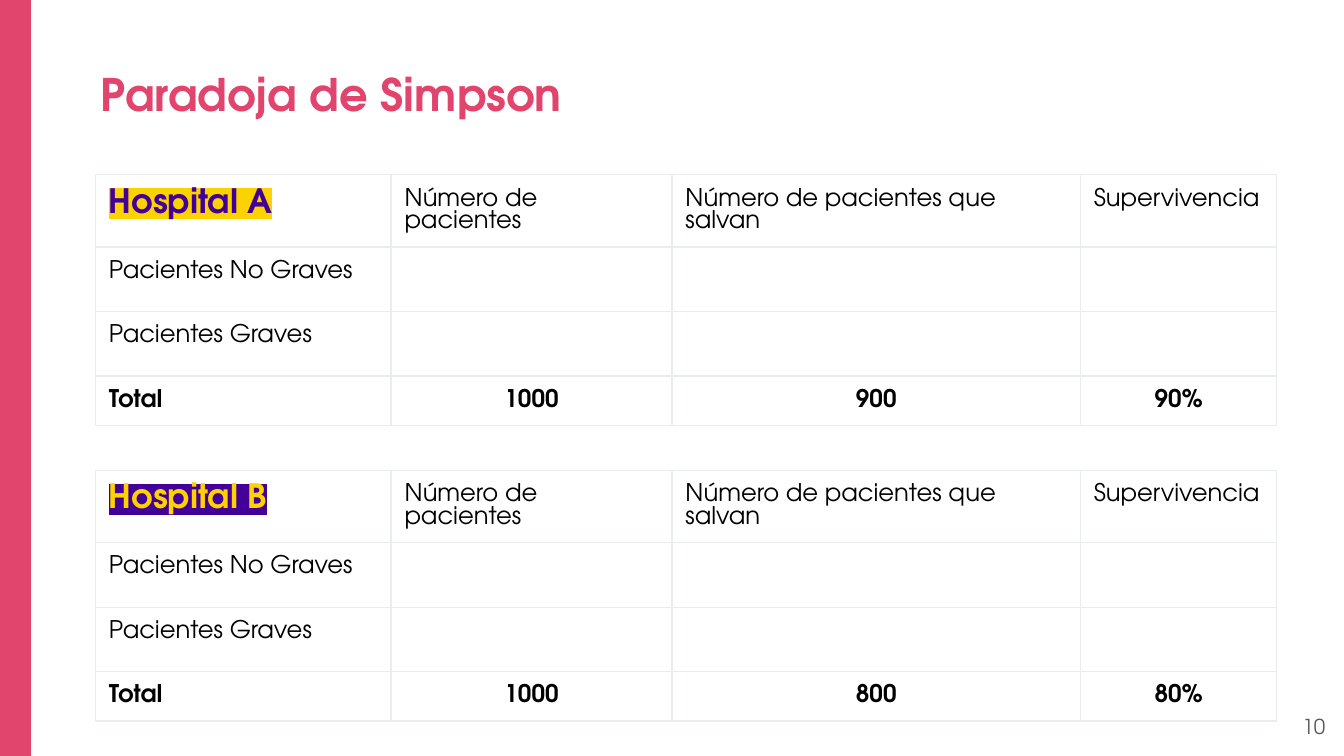
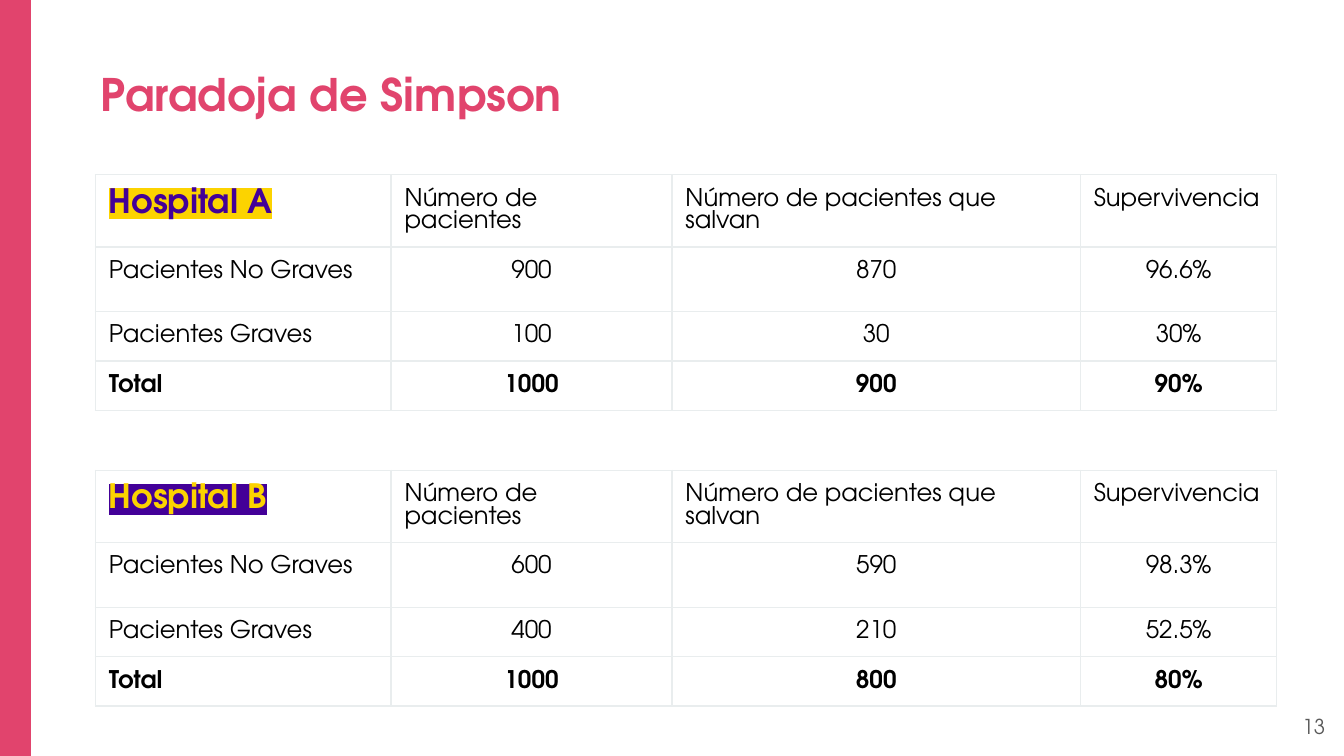
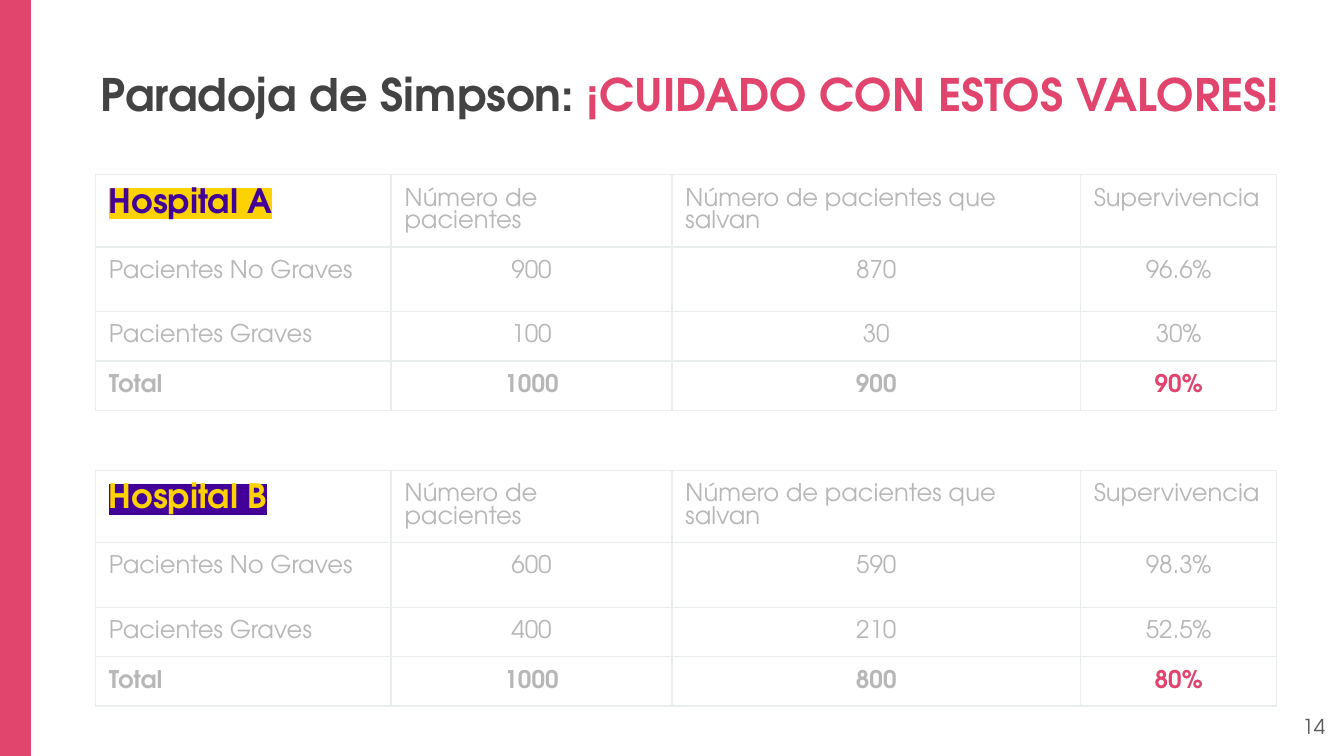
from dataclasses import dataclass

from lxml import etree
from pptx import Presentation
from pptx.dml.color import RGBColor
from pptx.enum.shapes import MSO_SHAPE
from pptx.enum.text import MSO_ANCHOR, MSO_AUTO_SIZE, PP_ALIGN
from pptx.oxml.ns import qn
from pptx.util import Inches, Pt

RECT = MSO_SHAPE.RECTANGLE
LEFT, CENTER, RIGHT = PP_ALIGN.LEFT, PP_ALIGN.CENTER, PP_ALIGN.RIGHT
TOP, MIDDLE, BOTTOM = MSO_ANCHOR.TOP, MSO_ANCHOR.MIDDLE, MSO_ANCHOR.BOTTOM
NO_AUTOFIT = MSO_AUTO_SIZE.NONE

FONT = "TeX Gyre Adventor"
PINK, PURPLE, YELLOW = "E1446D", "430098", "FCD300"
BLACK, DARK, GRAY, FADED, BORDER = "000000", "434343", "595959", "B7B7B7", "E9EDEE"

SLIDE_W = 10
SLIDE_H = SLIDE_W * 9 / 16
INSET = Inches(0.1)
TABLE_LEFT = 0.71
COL_WIDTHS = (2.2, 2.09, 3.04, 1.46)
HEADER_H, MILD_H, ROW_H = 0.42, 0.48, 0.31
HEADERS = ("Número de pacientes", "Número de pacientes que salvan", "Supervivencia")


@dataclass(frozen=True)
class Hospital:
    """One hospital's figures, label colours and table position."""

    name: str
    color: str
    highlight: str
    top: float
    mild: tuple[str, ...]
    severe: tuple[str, ...]
    total: tuple[str, ...]


@dataclass(frozen=True)
class Page:
    """What changes from one slide to the next."""

    number: str
    title: tuple[tuple[str, str], ...]
    title_width: float = 6.49
    text_color: str = BLACK
    rate_color: str = BLACK
    show_groups: bool = True


HOSPITALS = (
    Hospital("Hospital A", PURPLE, YELLOW, 1.3, ("900", "870", "96.6%"),
             ("100", "30", "30%"), ("1000", "900", "90%")),
    Hospital("Hospital B", YELLOW, PURPLE, 3.5, ("600", "590", "98.3%"),
             ("400", "210", "52.5%"), ("1000", "800", "80%")),
)
PLAIN_TITLE = (("Paradoja de Simpson", PINK),)
WARNING_TITLE = (("Paradoja de Simpson:", DARK), (" ¡CUIDADO CON ESTOS VALORES!", PINK))
PAGES = (
    Page("10", PLAIN_TITLE, show_groups=False),
    Page("13", PLAIN_TITLE),
    Page("14", WARNING_TITLE, 9.35, FADED, PINK),
)


def rgb(color: str) -> RGBColor:
    """Turn a hex string into a colour."""
    return RGBColor.from_string(color)


def add_text(p, text: str, *, size: float = 13, color: str = BLACK, bold: bool = False,
             align=LEFT, highlight: str = "") -> None:
    """Add a formatted run to a paragraph."""
    p.alignment = align
    r = p.add_run()
    r.text = text
    r.font.name, r.font.size, r.font.bold = FONT, Pt(size), bold
    r.font.color.rgb = rgb(color)
    if highlight:
        mark = etree.Element(qn("a:highlight"))
        etree.SubElement(mark, qn("a:srgbClr"), val=highlight)
        r.font._element.find(qn("a:solidFill")).addnext(mark)


def set_frame(tf, anchor) -> None:
    """Give a text frame the shared insets, wrapping and anchor."""
    tf.margin_left = tf.margin_right = tf.margin_top = tf.margin_bottom = INSET
    tf.auto_size, tf.word_wrap = NO_AUTOFIT, True
    tf.vertical_anchor = anchor


def format_cell(cell) -> None:
    """Give a cell thin borders, no fill and the shared insets."""
    tc_pr = cell._tc.get_or_add_tcPr()
    for side in ("lnL", "lnR", "lnT", "lnB"):
        ln = etree.SubElement(tc_pr, qn(f"a:{side}"), w=str(Pt(0.75)))
        fill = etree.SubElement(ln, qn("a:solidFill"))
        etree.SubElement(fill, qn("a:srgbClr"), val=BORDER)
    cell.fill.background()
    cell.margin_left = cell.margin_right = cell.margin_top = cell.margin_bottom = INSET
    cell.vertical_anchor = TOP


def fill_row(cells, label: str, values: tuple[str, ...], color: str, *,
             bold: bool = False, rate_color: str = "") -> None:
    """Write a row label and its centred figures."""
    add_text(cells[0].text_frame.paragraphs[0], label, color=color, bold=bold)
    colors = (color, color, rate_color or color)
    for cell, value, value_color in zip(cells[1:], values, colors):
        add_text(cell.text_frame.paragraphs[0], value, color=value_color, bold=bold, align=CENTER)


def set_empty_size(cell) -> None:
    """Keep an empty cell from stretching its row."""
    p = cell.text_frame.paragraphs[0]._p
    end = etree.SubElement(p, qn("a:endParaRPr"), sz="1300")
    etree.SubElement(end, qn("a:latin"), typeface=FONT)


def add_hospital_table(s, hospital: Hospital, page: Page) -> None:
    """Draw the survival table of one hospital."""
    severe_h = ROW_H if page.show_groups else MILD_H
    heights = (HEADER_H, MILD_H, severe_h, ROW_H)
    table = s.shapes.add_table(
        len(heights), len(COL_WIDTHS), Inches(TABLE_LEFT), Inches(hospital.top),
        Inches(sum(COL_WIDTHS)), Inches(sum(heights))).table
    table.first_row = table.horz_banding = False
    for column, width in zip(table.columns, COL_WIDTHS):
        column.width = Inches(width)
    for row, height in zip(table.rows, heights):
        row.height = Inches(height)
    for cell in table.iter_cells():
        format_cell(cell)

    header, mild, severe, total = (list(row.cells) for row in table.rows)
    add_text(header[0].text_frame.paragraphs[0], hospital.name, size=18, bold=True,
             color=hospital.color, highlight=hospital.highlight)
    for cell, text in zip(header[1:], HEADERS):
        add_text(cell.text_frame.paragraphs[0], text, color=page.text_color)
    fill_row(mild, "Pacientes No Graves", hospital.mild if page.show_groups else (),
             page.text_color)
    fill_row(severe, "Pacientes Graves", hospital.severe if page.show_groups else (),
             page.text_color)
    fill_row(total, "Total", hospital.total, page.text_color, bold=True,
             rate_color=page.rate_color)
    for cell in table.iter_cells():
        if not cell.text:
            set_empty_size(cell)


def add_side_band(s, layout) -> None:
    """Draw the pink band and move it to the shared layout."""
    band = s.shapes.add_shape(RECT, 0, 0, Inches(0.23), Inches(SLIDE_H))
    band.shadow.inherit = False
    band.fill.solid()
    band.fill.fore_color.rgb = rgb(PINK)
    band.line.fill.background()
    layout.shapes._spTree.append(band._element)


def add_page(prs, layout, page: Page):
    """Build one slide with its title, tables and number."""
    s = prs.slides.add_slide(layout)
    title = s.shapes.title
    title.left, title.top = Inches(0.65), Inches(0.4)
    title.width, title.height = Inches(page.title_width), Inches(0.6)
    set_frame(title.text_frame, BOTTOM)
    for text, color in page.title:
        add_text(title.text_frame.paragraphs[0], text, size=24, color=color, bold=True)
    for hospital in HOSPITALS:
        add_hospital_table(s, hospital, page)
    number = s.shapes.add_textbox(Inches(9.36), Inches(5.19), Inches(0.6), Inches(0.43))
    set_frame(number.text_frame, MIDDLE)
    add_text(number.text_frame.paragraphs[0], page.number, size=11, color=GRAY, align=RIGHT)
    return s


def main() -> None:
    """Build and save the presentation."""
    prs = Presentation()
    prs.slide_width, prs.slide_height = Inches(SLIDE_W), Inches(SLIDE_H)
    layout = prs.slide_layouts.get_by_name("Title Only")
    slides = [add_page(prs, layout, page) for page in PAGES]
    add_side_band(slides[0], layout)
    prs.save("out.pptx")


if __name__ == "__main__":
    main()
